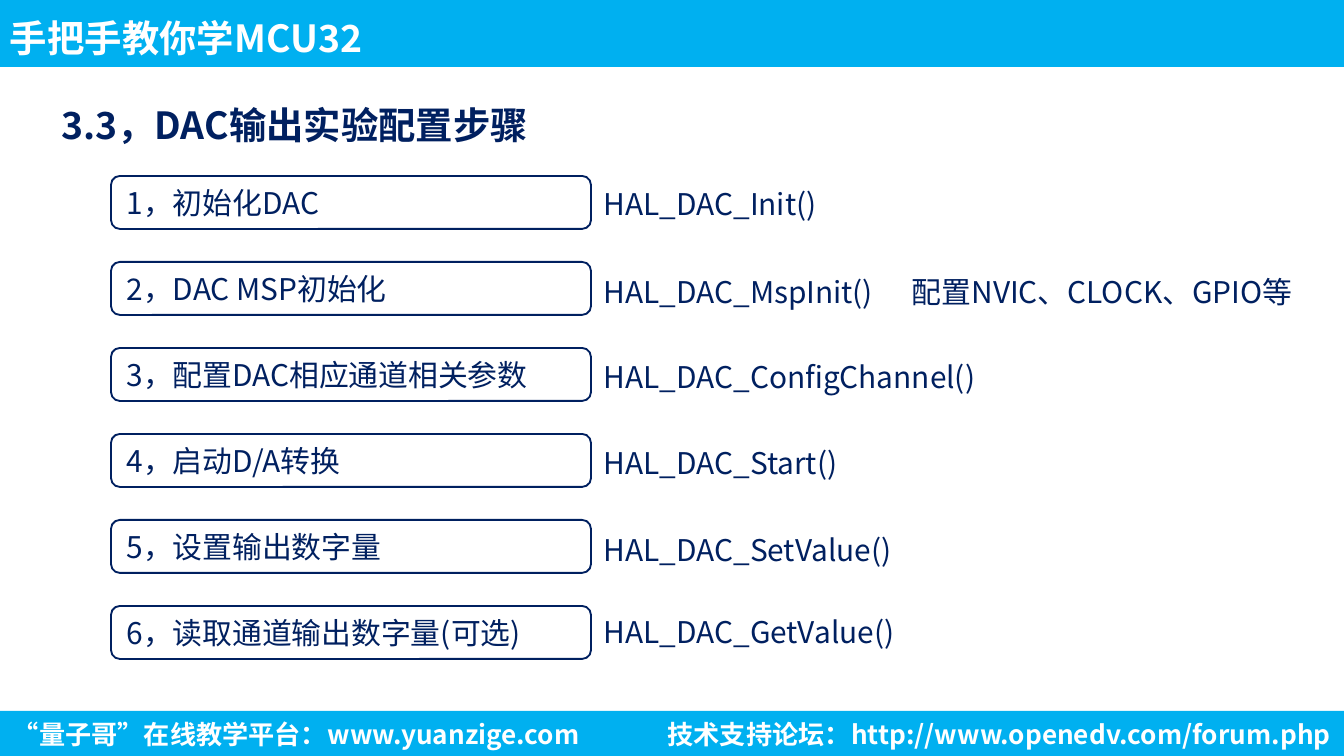
from lxml.etree import SubElement as Sub
from pptx import Presentation
from pptx.dml.color import RGBColor as RGB
from pptx.enum.shapes import MSO_SHAPE as Kind
from pptx.enum.text import MSO_ANCHOR as Anchor, MSO_AUTO_SIZE as Auto, PP_ALIGN as Align
from pptx.oxml.ns import qn
from pptx.util import Pt

# Content: step, call, top of call in px
STEPS = [
    ("1，初始化DAC", "HAL_DAC_Init()", 179),
    ("2，DAC MSP初始化", "HAL_DAC_MspInit()\t配置NVIC、CLOCK、GPIO等", 267),
    ("3，配置DAC相应通道相关参数", "HAL_DAC_ConfigChannel()", 352),
    ("4，启动D/A转换", "HAL_DAC_Start()", 438),
    ("5，设置输出数字量", "HAL_DAC_SetValue()", 525),
    ("6，读取通道输出数字量(可选)", "HAL_DAC_GetValue()", 607),
]
COURSE = "手把手教你学MCU32"
TITLE = "3.3，DAC输出实验配置步骤"
SITE = "“量子哥”在线教学平台：www.yuanzige.com"
FORUM = "技术支持论坛：http://www.openedv.com/forum.php"

SKY = RGB(0x00, 0xB0, 0xF0)
NAVY = RGB(0x00, 0x20, 0x60)
WHITE = RGB(0xFF, 0xFF, 0xFF)
FACE = "Noto Sans CJK SC"
HEAD = dict(size=Pt(20), bold=True)
FOOT = dict(size=Pt(14), bold=True)
BODY = dict(size=Pt(16), bold=False)

WIDE, HIGH = 1344, 756
TOP, PITCH = 176, 86
TAB = 308


def px(n):
    return round(n * 914400 / 134.4)


def write(shape, text, color, font, pad=(13, 7), align=Align.LEFT, space=None,
          anchor=Anchor.TOP, fit=Auto.SHAPE_TO_FIT_TEXT):
    frame = shape.text_frame
    x, y = map(px, pad)
    form = dict(word_wrap=True, auto_size=fit, vertical_anchor=anchor,
                margin_left=x, margin_right=x, margin_top=y, margin_bottom=y)
    for key, val in form.items():
        setattr(frame, key, val)
    para = frame.paragraphs[0]
    para.alignment = align
    para.line_spacing = space
    if "\t" in text:
        tabs = Sub(para._p.get_or_add_pPr(), qn("a:tabLst"))
        Sub(tabs, qn("a:tab"), pos=str(px(TAB)), algn="l")
    run = para.add_run()
    run.text = text
    for key, val in dict(font, name=FACE).items():
        setattr(run.font, key, val)
    run.font.color.rgb = color
    Sub(run._r.get_or_add_rPr(), qn("a:ea"), typeface=FACE)


def label(box, *args, **opts):
    write(slide.shapes.add_textbox(*map(px, box)), *args, **opts)


def block(kind, box, fill, line=None):
    shape = slide.shapes.add_shape(kind, *map(px, box))
    shape.shadow.inherit = False
    shape.fill.solid()
    shape.fill.fore_color.rgb = fill
    if line is None:
        shape.line.fill.background()
    else:
        shape.line.color.rgb = line
        shape.line.width = Pt(1)
    return shape


deck = Presentation()
deck.slide_width, deck.slide_height = px(WIDE), px(HIGH)
slide = deck.slides.add_slide(deck.slide_layouts[6])

# Header and footer bands
block(Kind.RECTANGLE, (0, 711, WIDE, 45), SKY)
block(Kind.RECTANGLE, (0, 0, WIDE, 67), SKY)
label((0, 0, 867, 67), COURSE, WHITE, HEAD, pad=(10, 5), space=1.2,
      anchor=Anchor.MIDDLE, fit=Auto.NONE)
label((0, 711, 790, 45), SITE, WHITE, FOOT)
label((488, 711, 856, 45), FORUM, WHITE, FOOT, align=Align.RIGHT)

# Title
label((54, 77, 704, 67), TITLE, NAVY, HEAD, pad=(7, 3), space=1.5)

# Steps with their calls
for i, (step, call, top) in enumerate(STEPS):
    card = block(Kind.ROUNDED_RECTANGLE, (111, TOP + i * PITCH, 480, 53), WHITE, NAVY)
    write(card, step, NAVY, BODY, anchor=Anchor.MIDDLE, fit=Auto.NONE)
    label((591, top, 717, 50), call, NAVY, BODY)

deck.save("out.pptx")
